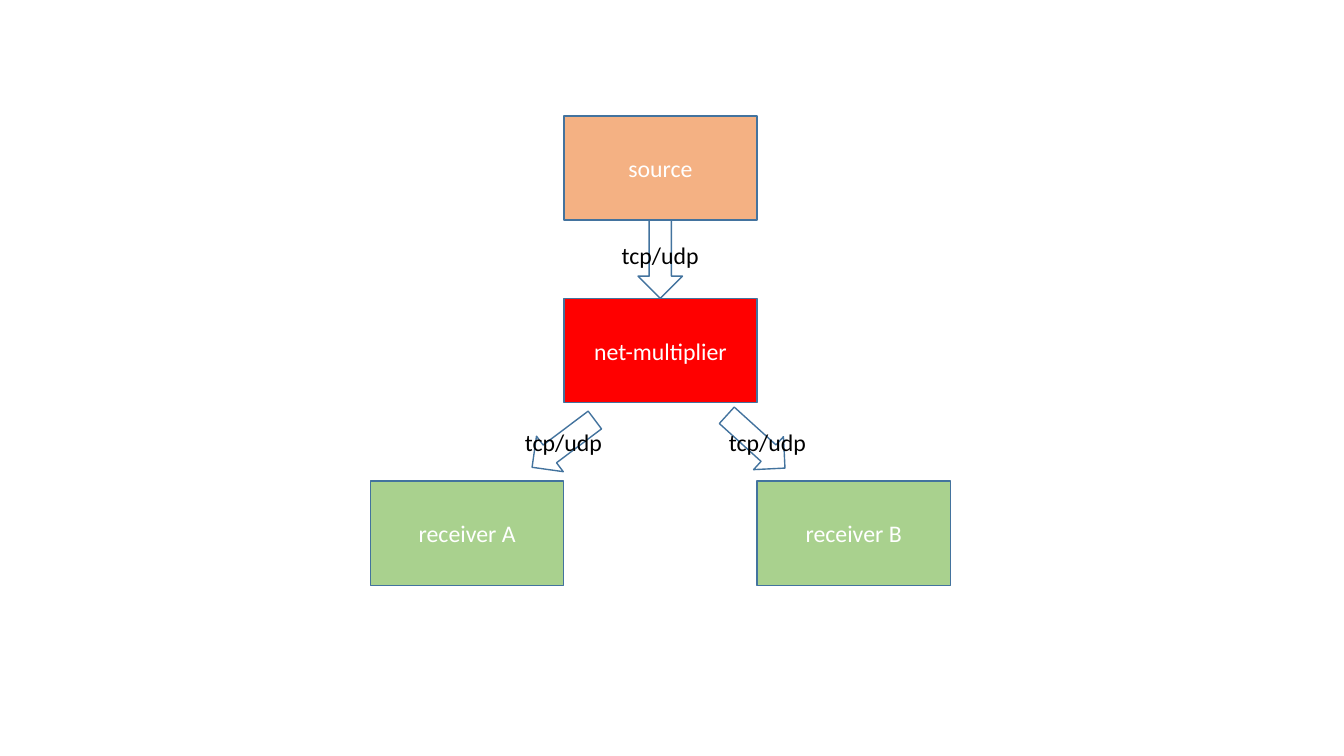
from pptx import Presentation
from pptx.dml.color import RGBColor
from pptx.enum.shapes import MSO_SHAPE
from pptx.enum.text import MSO_ANCHOR, PP_ALIGN
from pptx.util import Cm, Pt

RECT, DOWN_ARROW = MSO_SHAPE.RECTANGLE, MSO_SHAPE.DOWN_ARROW
TOP, MIDDLE, CENTER = MSO_ANCHOR.TOP, MSO_ANCHOR.MIDDLE, PP_ALIGN.CENTER

# Content: boxes as text, column, row, fill
BOXES = [
    ("source", 1, 0, "source"),
    ("net-multiplier", 1, 1, "multiplier"),
    ("receiver B", 2, 2, "receiver"),
    ("receiver A", 0, 2, "receiver"),
]
# Flows as label, arrow centre, rotation, label centre (cm, degrees)
FLOWS = [
    ("tcp/udp", (16.64, 6.53), 0, (16.64, 6.44)),
    ("tcp/udp", (14.2, 11.18), 53, (14.2, 11.16)),
    ("tcp/udp", (19.05, 11.13), 312.2, (19.34, 11.14)),
]

THEME = {
    "source": RGBColor(0xF4, 0xB1, 0x83),
    "multiplier": RGBColor(0xFF, 0x00, 0x00),
    "receiver": RGBColor(0xA9, 0xD1, 0x8E),
    "outline": RGBColor(0x43, 0x73, 0x9E),
    "box_text": RGBColor(0xFF, 0xFF, 0xFF),
    "label_text": RGBColor(0x00, 0x00, 0x00),
    "font": "Calibri",
    "size": Pt(17),
    "line": Pt(1),
}

# Layout in cm; columns touch, rows leave room for the arrows
LEFT, TOP_ROW = 9.34, 2.92
BOX_W, BOX_H = 4.87, 2.63
ROW_STEP = 4.6
ARROW_SIZE = (1.12, 1.98)
LABEL_SIZE = (3.38, 0.99)


def centred(centre, size):
    (x, y), (w, h) = centre, size
    return Cm(x - w / 2), Cm(y - h / 2), Cm(w), Cm(h)


def add_outlined(s, kind, frame, fill=None):
    sp = s.shapes.add_shape(kind, *frame)
    sp.shadow.inherit = False
    if fill is None:
        sp.fill.background()
    else:
        sp.fill.solid()
        sp.fill.fore_color.rgb = fill
    sp.line.color.rgb = THEME["outline"]
    sp.line.width = THEME["line"]
    return sp


def set_text(sp, text, color, anchor):
    tf = sp.text_frame
    tf.word_wrap = True
    tf.vertical_anchor = anchor
    p = tf.paragraphs[0]
    p.text = text
    p.alignment = CENTER
    p.font.name = THEME["font"]
    p.font.size = THEME["size"]
    p.font.color.rgb = color


def main():
    prs = Presentation()
    prs.slide_width, prs.slide_height = Cm(33.87), Cm(19.05)
    s = prs.slides.add_slide(prs.slide_layouts[6])

    # Boxes
    for text, col, row, fill in BOXES:
        frame = (Cm(LEFT + col * BOX_W), Cm(TOP_ROW + row * ROW_STEP),
                 Cm(BOX_W), Cm(BOX_H))
        sp = add_outlined(s, RECT, frame, THEME[fill])
        set_text(sp, text, THEME["box_text"], MIDDLE)

    # Arrows
    for _, centre, rotation, _ in FLOWS:
        sp = add_outlined(s, DOWN_ARROW, centred(centre, ARROW_SIZE))
        sp.rotation = rotation

    # Labels over the arrows
    for text, _, _, centre in FLOWS:
        sp = s.shapes.add_textbox(*centred(centre, LABEL_SIZE))
        set_text(sp, text, THEME["label_text"], TOP)

    prs.save("out.pptx")


if __name__ == "__main__":
    main()
